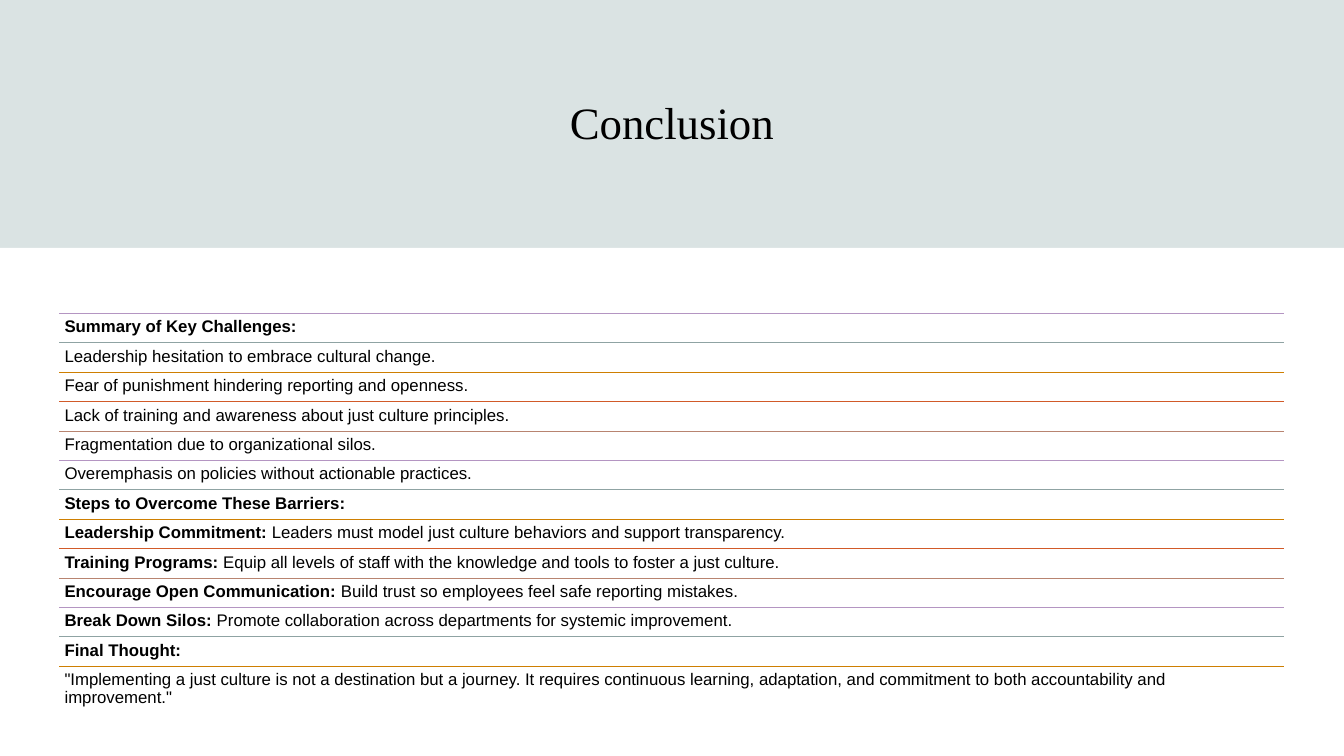
import dataclasses

import lxml.etree
import pptx
import pptx.dml.color
import pptx.enum.shapes
import pptx.enum.text
import pptx.oxml.ns
import pptx.slide
import pptx.text.text
import pptx.util

Inches = pptx.util.Inches

COLORS = {
    "mist": "DAE3E3",
    "white": "FFFFFF",
    "black": "000000",
    "purple": "B495C2",
    "grey": "8FA3A3",
    "orange": "CE7F01",
    "red": "D15A29",
    "brown": "B88470",
}
RULE_COLORS = ["purple", "grey", "orange", "red", "brown"]

SLIDE_WIDTH, SLIDE_HEIGHT = 13.33, 7.5
PANEL_TOP = 2.46
LIST_LEFT, LIST_WIDTH = 0.59, 12.15
FIRST_ROW_TOP, LAST_ROW_TOP = 3.11, 6.61


@dataclasses.dataclass(frozen=True)
class Row:
    heading: str = ""
    body: str = ""


ROWS = [
    Row(heading="Summary of Key Challenges:"),
    Row(body="Leadership hesitation to embrace cultural change."),
    Row(body="Fear of punishment hindering reporting and openness."),
    Row(body="Lack of training and awareness about just culture principles."),
    Row(body="Fragmentation due to organizational silos."),
    Row(body="Overemphasis on policies without actionable practices."),
    Row(heading="Steps to Overcome These Barriers:"),
    Row("Leadership Commitment:",
        " Leaders must model just culture behaviors and support transparency."),
    Row("Training Programs:",
        " Equip all levels of staff with the knowledge and tools to foster a just culture."),
    Row("Encourage Open Communication:",
        " Build trust so employees feel safe reporting mistakes."),
    Row("Break Down Silos:",
        " Promote collaboration across departments for systemic improvement."),
    Row(heading="Final Thought:"),
    Row(body='"Implementing a just culture is not a destination but a journey. '
             "It requires continuous learning, adaptation, and commitment to both "
             'accountability and improvement."'),
]


def rgb(name: str) -> pptx.dml.color.RGBColor:
    return pptx.dml.color.RGBColor.from_string(COLORS[name])


def add_text(paragraph: pptx.text.text._Paragraph, text: str, *, size: float = 12,
             font: str = "Arial", color: str = "black", bold: bool = False) -> None:
    run = paragraph.add_run()
    run.text = text
    run.font.size = pptx.util.Pt(size)
    run.font.name = font
    run.font.bold = bold
    run.font.color.rgb = rgb(color)


def add_text_frame(slide: pptx.slide.Slide, left: float, top: float, width: float,
                   height: float, margin: float) -> pptx.text.text.TextFrame:
    shape = slide.shapes.add_textbox(Inches(left), Inches(top), Inches(width), Inches(height))
    frame = shape.text_frame
    frame.word_wrap = True
    frame.margin_left = frame.margin_right = Inches(margin)
    frame.margin_top = frame.margin_bottom = Inches(margin)
    return frame


def add_panel(slide: pptx.slide.Slide, top: float, color: str) -> None:
    shape = slide.shapes.add_shape(
        pptx.enum.shapes.MSO_SHAPE.RECTANGLE,
        0, Inches(top), Inches(SLIDE_WIDTH), Inches(SLIDE_HEIGHT - top))
    shape.shadow.inherit = False
    shape.fill.solid()
    shape.fill.fore_color.rgb = rgb(color)
    shape.line.fill.background()


def add_title(slide: pptx.slide.Slide, text: str) -> None:
    frame = add_text_frame(slide, 1.18, 0.59, 10.97, 1.23, margin=0.05)
    frame.vertical_anchor = pptx.enum.text.MSO_ANCHOR.MIDDLE
    paragraph = frame.paragraphs[0]
    paragraph.alignment = pptx.enum.text.PP_ALIGN.CENTER
    add_text(paragraph, text, size=32, font="Times New Roman")


def add_rule(slide: pptx.slide.Slide, top: float, color: str) -> None:
    connector = slide.shapes.add_connector(
        pptx.enum.shapes.MSO_CONNECTOR.STRAIGHT,
        Inches(LIST_LEFT), Inches(top), Inches(LIST_LEFT + LIST_WIDTH), Inches(top))
    connector.line.color.rgb = rgb(color)
    connector.line.width = pptx.util.Pt(0.75)
    lxml.etree.SubElement(connector._element.spPr, pptx.oxml.ns.qn("a:effectLst"))


def add_row(slide: pptx.slide.Slide, row: Row, top: float, height: float, color: str) -> None:
    add_rule(slide, top, color)
    frame = add_text_frame(slide, LIST_LEFT, top, LIST_WIDTH, height, margin=0.05)
    paragraph = frame.paragraphs[0]
    paragraph.line_spacing = 0.9
    if row.heading:
        add_text(paragraph, row.heading, bold=True)
    if row.body:
        add_text(paragraph, row.body)


def main() -> None:
    presentation = pptx.Presentation()
    presentation.slide_width = Inches(SLIDE_WIDTH)
    presentation.slide_height = Inches(SLIDE_HEIGHT)
    slide = presentation.slides.add_slide(presentation.slide_layouts[6])
    slide.background.fill.solid()
    slide.background.fill.fore_color.rgb = rgb("mist")

    add_panel(slide, 0, "mist")
    add_title(slide, "Conclusion")
    add_panel(slide, PANEL_TOP, "white")

    row_height = (LAST_ROW_TOP - FIRST_ROW_TOP) / (len(ROWS) - 1)
    for index, row in enumerate(ROWS):
        color = RULE_COLORS[index % len(RULE_COLORS)]
        add_row(slide, row, FIRST_ROW_TOP + index * row_height, row_height, color)

    presentation.save("out.pptx")


if __name__ == "__main__":
    main()
